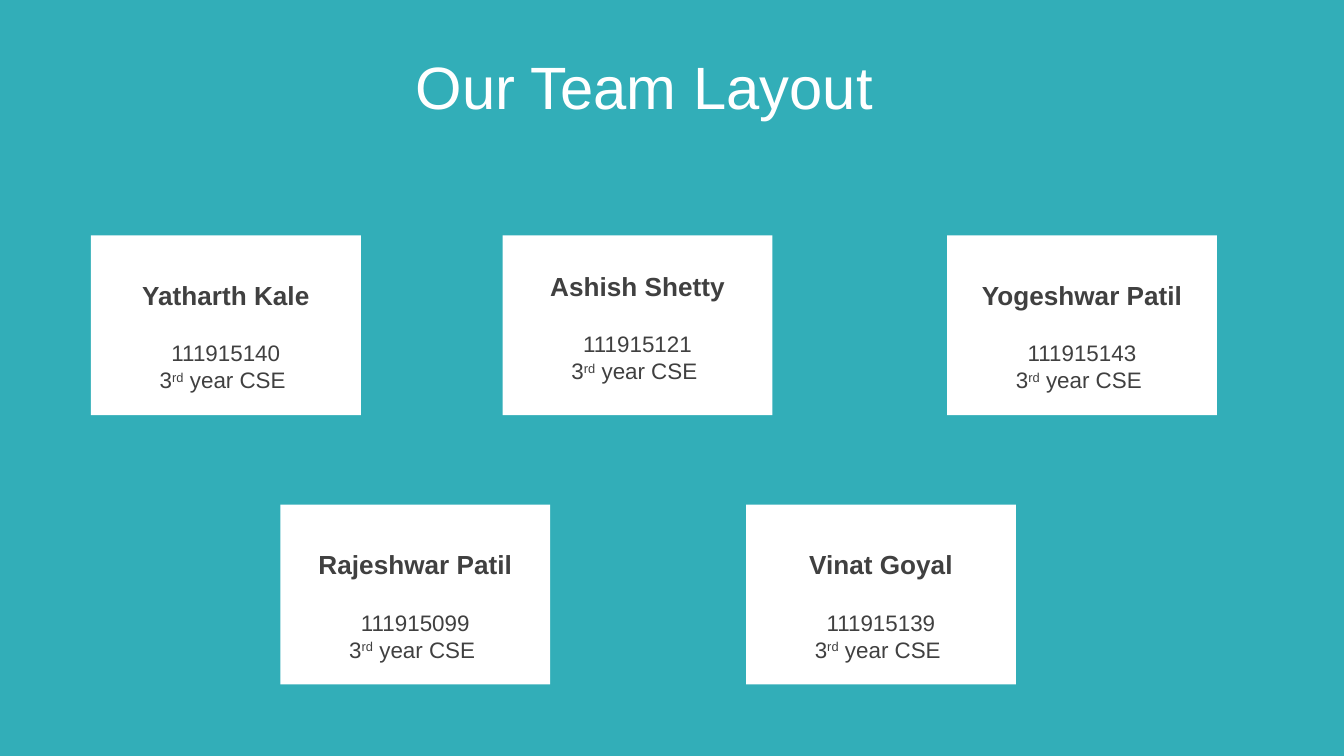
from dataclasses import dataclass

from pptx import Presentation
from pptx.dml.color import RGBColor
from pptx.enum.shapes import MSO_SHAPE
from pptx.enum.text import MSO_ANCHOR, MSO_AUTO_SIZE, PP_ALIGN
from pptx.util import Cm, Pt

RECTANGLE = MSO_SHAPE.RECTANGLE
TOP, MIDDLE = MSO_ANCHOR.TOP, MSO_ANCHOR.MIDDLE
LEFT, CENTER = PP_ALIGN.LEFT, PP_ALIGN.CENTER
NO_AUTOFIT = MSO_AUTO_SIZE.NONE

TEAL, WHITE, DARK_GRAY = "32AEB8", "FFFFFF", "404040"
CARD_WIDTH, CARD_HEIGHT = 5.1, 3.4
TEXT_INSET = 0.25
TEXT_WIDTH = CARD_WIDTH - 2 * TEXT_INSET
FIRST_ROW, SECOND_ROW = 4.45, 9.54

TITLE_FORMAT = {"name": "Arial", "size": Pt(32), "bold": False}
NAME_FORMAT = {"name": "Arial", "size": Pt(14), "bold": True}
DETAIL_FORMAT = {"name": "Arial", "size": Pt(12), "bold": False}


@dataclass
class Member:
    name: str
    number: str
    left: float
    top: float
    text_lift: float = 0


MEMBERS = [
    Member("Yatharth Kale", "111915140", 1.72, FIRST_ROW),
    Member("Ashish Shetty", "111915121", 9.5, FIRST_ROW, text_lift=0.17),
    Member("Yogeshwar Patil", "111915143", 17.9, FIRST_ROW),
    Member("Rajeshwar Patil", "111915099", 5.3, SECOND_ROW),
    Member("Vinat Goyal", "111915139", 14.1, SECOND_ROW),
]


def color(hex_value: str) -> RGBColor:
    return RGBColor.from_string(hex_value)


def add_run(paragraph, text: str, font_format: dict, hex_value: str, baseline: int = 0) -> None:
    run = paragraph.add_run()
    run.text = text
    for attribute, value in font_format.items():
        setattr(run.font, attribute, value)
    run.font.color.rgb = color(hex_value)
    if baseline:
        run._r.get_or_add_rPr().set("baseline", str(baseline * 1000))


def format_frame(frame, anchor, vertical_margin: float = 0.13) -> None:
    settings = {
        "word_wrap": True,
        "auto_size": NO_AUTOFIT,
        "vertical_anchor": anchor,
        "margin_top": Cm(vertical_margin),
        "margin_bottom": Cm(vertical_margin),
    }
    for attribute, value in settings.items():
        setattr(frame, attribute, value)


def add_title(slide, text: str) -> None:
    title = slide.shapes.title
    title.left, title.top, title.width, title.height = Cm(7.6), Cm(0.82), Cm(10.2), Cm(1.63)
    format_frame(title.text_frame, TOP)
    paragraph = title.text_frame.paragraphs[0]
    paragraph.alignment = LEFT
    add_run(paragraph, text, TITLE_FORMAT, WHITE)


def add_member_card(slide, member: Member) -> None:
    # White card
    card = slide.shapes.add_shape(
        RECTANGLE, Cm(member.left), Cm(member.top), Cm(CARD_WIDTH), Cm(CARD_HEIGHT)
    )
    card.shadow.inherit = False
    card.fill.solid()
    card.fill.fore_color.rgb = color(WHITE)
    card.line.fill.background()

    # Name and details, grouped
    group = slide.shapes.add_group_shape()
    text_left = Cm(member.left + TEXT_INSET)
    text_top = member.top - member.text_lift
    name_box = group.shapes.add_textbox(text_left, Cm(text_top + 0.78), Cm(TEXT_WIDTH), Cm(0.69))
    format_frame(name_box.text_frame, MIDDLE, vertical_margin=0)
    name_line = name_box.text_frame.paragraphs[0]
    name_line.alignment = CENTER
    add_run(name_line, member.name, NAME_FORMAT, DARK_GRAY)

    detail_box = group.shapes.add_textbox(text_left, Cm(text_top + 1.84), Cm(TEXT_WIDTH), Cm(1.27))
    format_frame(detail_box.text_frame, TOP)
    number_line = detail_box.text_frame.paragraphs[0]
    year_line = detail_box.text_frame.add_paragraph()
    number_line.alignment = year_line.alignment = CENTER
    add_run(number_line, member.number, DETAIL_FORMAT, DARK_GRAY)
    for text, baseline in (("3", 0), ("rd", 30), (" year CSE ", 0)):
        add_run(year_line, text, DETAIL_FORMAT, DARK_GRAY, baseline)


def main() -> None:
    presentation = Presentation()
    presentation.slide_width, presentation.slide_height = Cm(25.4), Cm(14.29)
    slide = presentation.slides.add_slide(presentation.slide_layouts[5])
    slide.background.fill.solid()
    slide.background.fill.fore_color.rgb = color(TEAL)

    for member in MEMBERS:
        add_member_card(slide, member)
    add_title(slide, "Our Team Layout")
    presentation.save("out.pptx")


if __name__ == "__main__":
    main()
